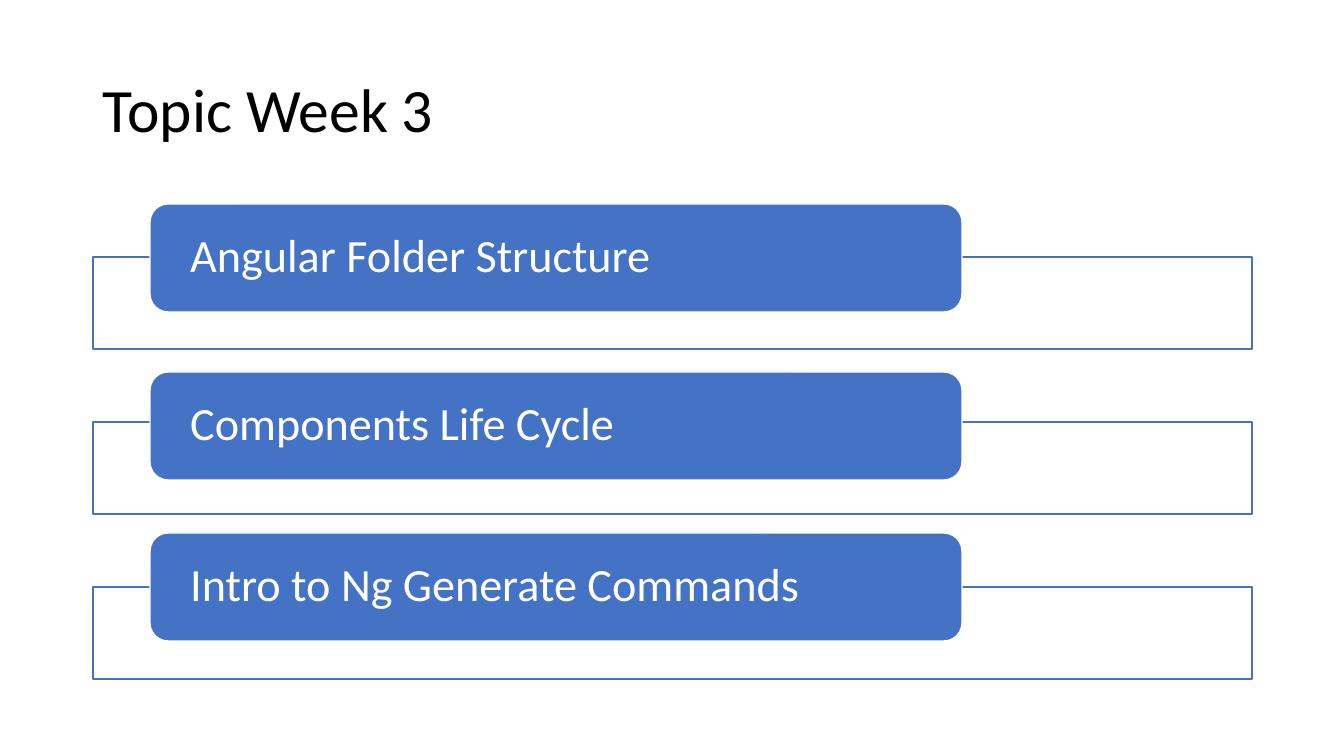
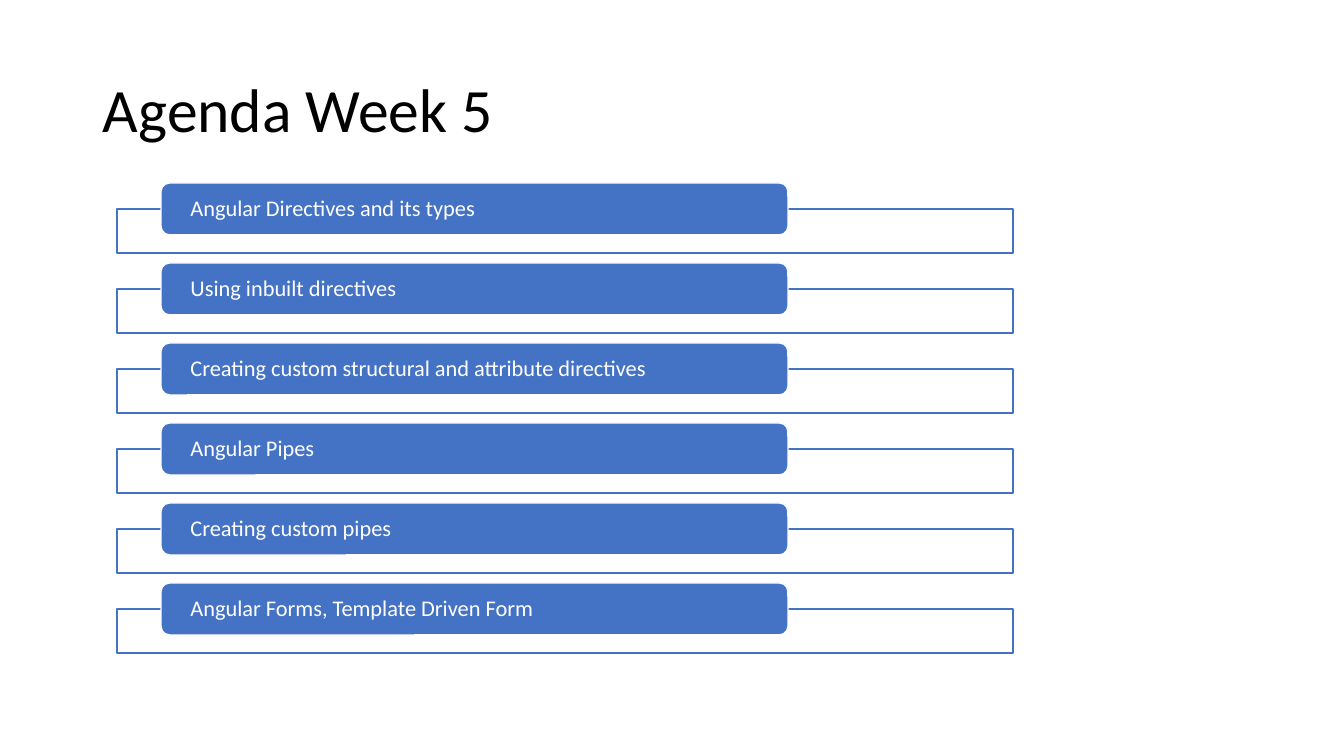
from dataclasses import dataclass

from lxml.etree import SubElement
from pptx import Presentation
from pptx.dml.color import RGBColor
from pptx.enum.shapes import MSO_SHAPE as Shape
from pptx.enum.text import MSO_ANCHOR as Anchor, PP_ALIGN as Align
from pptx.oxml.ns import qn
from pptx.util import Emu, Pt

PX = 914400 / 100.8


@dataclass(frozen=True)
class Theme:
    font: str = "Calibri"
    ink: RGBColor = RGBColor(0x00, 0x00, 0x00)
    paper: RGBColor = RGBColor(0xFF, 0xFF, 0xFF)
    accent: RGBColor = RGBColor(0x44, 0x72, 0xC4)
    title_size: int = 44
    topic_size: int = 33
    agenda_size: int = 16
    line_width: int = 1
    line_spacing: float = 0.9


THEME = Theme()


@dataclass(frozen=True)
class ListStyle:
    """Geometry of a list of framed tabs, in px."""
    frame_left: int
    frame_top: int
    frame_width: int
    frame_height: int
    pitch: int
    tab_left: int
    tab_width: int
    tab_height: int
    inset: int
    size: int


TOPICS = ListStyle(93, 257, 1159, 92, 165, 150, 812, 108, 35, THEME.topic_size)
AGENDA = ListStyle(117, 209, 896, 44, 80, 161, 627, 52, 27, THEME.agenda_size)


def px(*lengths):
    return [Emu(round(length * PX)) for length in lengths]


def write(shape, text, size, color):
    frame = shape.text_frame
    frame.word_wrap = True
    frame.vertical_anchor = Anchor.MIDDLE
    para = frame.paragraphs[0]
    para.text = text
    para.alignment = Align.LEFT
    para.line_spacing = THEME.line_spacing
    para.font.name = THEME.font
    para.font.size = Pt(size)
    para.font.color.rgb = color


def add_title(page, text):
    box = page.shapes.add_textbox(*px(93, 40, 1159, 146))
    write(box, text, THEME.title_size, THEME.ink)


def add_panel(page, kind, bounds, fill, line):
    panel = page.shapes.add_shape(kind, *px(*bounds))
    panel.shadow.inherit = False
    panel.fill.solid()
    panel.fill.fore_color.rgb = fill
    panel.line.color.rgb = line
    panel.line.width = Pt(THEME.line_width)
    return panel


def add_frame(page, bounds):
    frame = add_panel(page, Shape.RECTANGLE, bounds, THEME.paper, THEME.accent)
    # Slightly translucent fill
    color = frame.fill._xPr.find(qn("a:solidFill"))[0]
    SubElement(color, qn("a:alpha"), val="90000")


def add_tab(page, bounds, text, style):
    tab = add_panel(page, Shape.ROUNDED_RECTANGLE, bounds, THEME.accent, THEME.paper)
    frame = tab.text_frame
    frame.margin_left, frame.margin_right = px(style.inset, style.inset)
    frame.margin_top = frame.margin_bottom = 0
    write(tab, text, style.size, THEME.paper)


def add_tab_list(page, style, items):
    """Each item is its text and how far the tab rises above its frame."""
    for row, (text, rise) in enumerate(items):
        top = style.frame_top + row * style.pitch
        add_frame(page, (style.frame_left, top, style.frame_width, style.frame_height))
        add_tab(page, (style.tab_left, top - rise, style.tab_width, style.tab_height),
                text, style)


def add_page(deck, title, style, items):
    page = deck.slides.add_slide(deck.slide_layouts[6])
    add_title(page, title)
    add_tab_list(page, style, items)


def main():
    deck = Presentation()
    deck.slide_width, deck.slide_height = px(1344, 756)

    # Topics of week 3
    add_page(deck, "Topic Week 3", TOPICS, [
        ("Angular Folder Structure", 53),
        ("Components Life Cycle", 50),
        ("Intro to Ng Generate Commands", 54),
    ])

    # Agenda of week 5
    agenda = [
        "Angular Directives and its types",
        "Using inbuilt directives",
        "Creating custom structural and attribute directives",
        "Angular Pipes",
        "Creating custom pipes",
        "Angular Forms, Template Driven Form",
    ]
    add_page(deck, "Agenda Week 5", AGENDA, [(text, 26) for text in agenda])

    deck.save("out.pptx")


if __name__ == "__main__":
    main()
